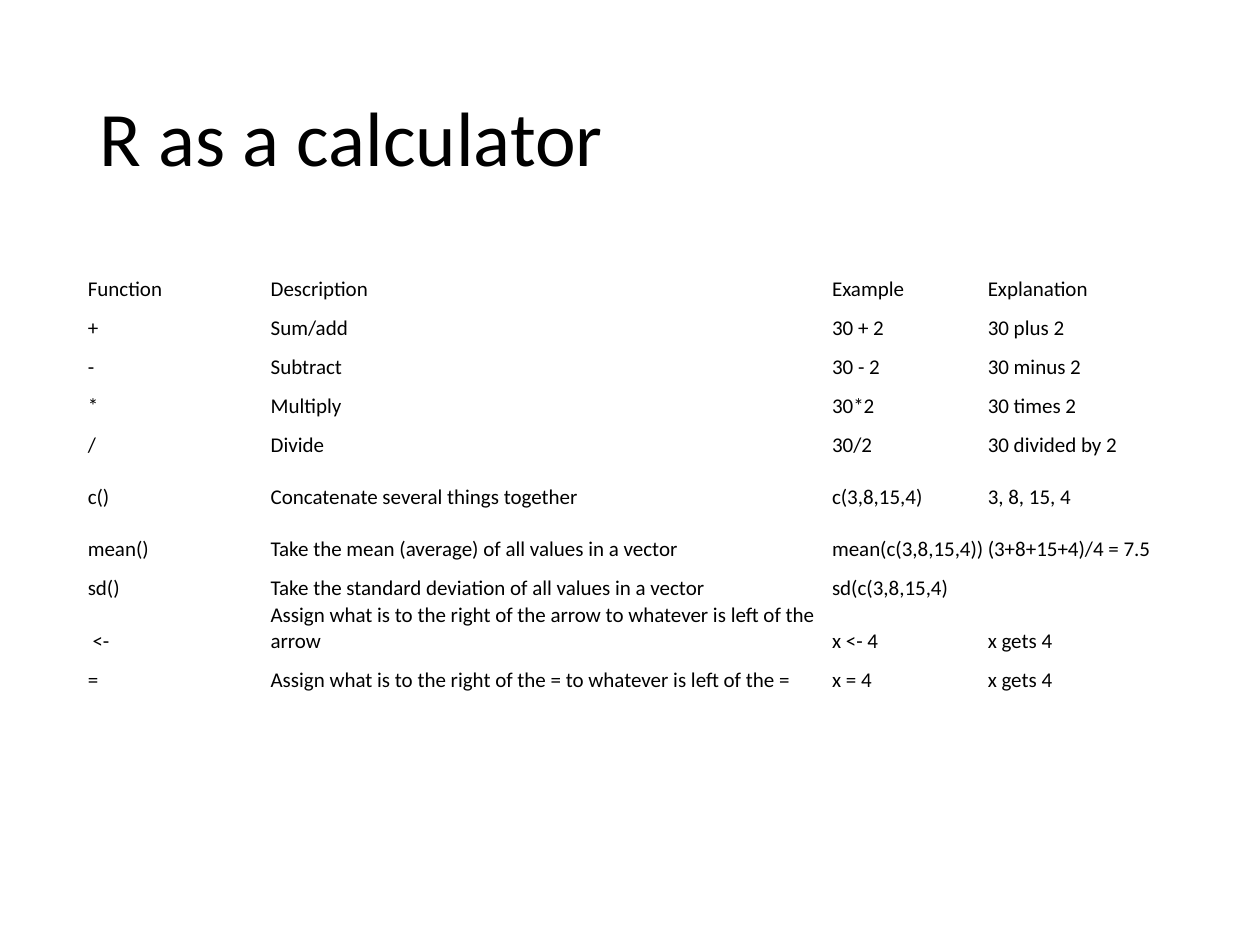
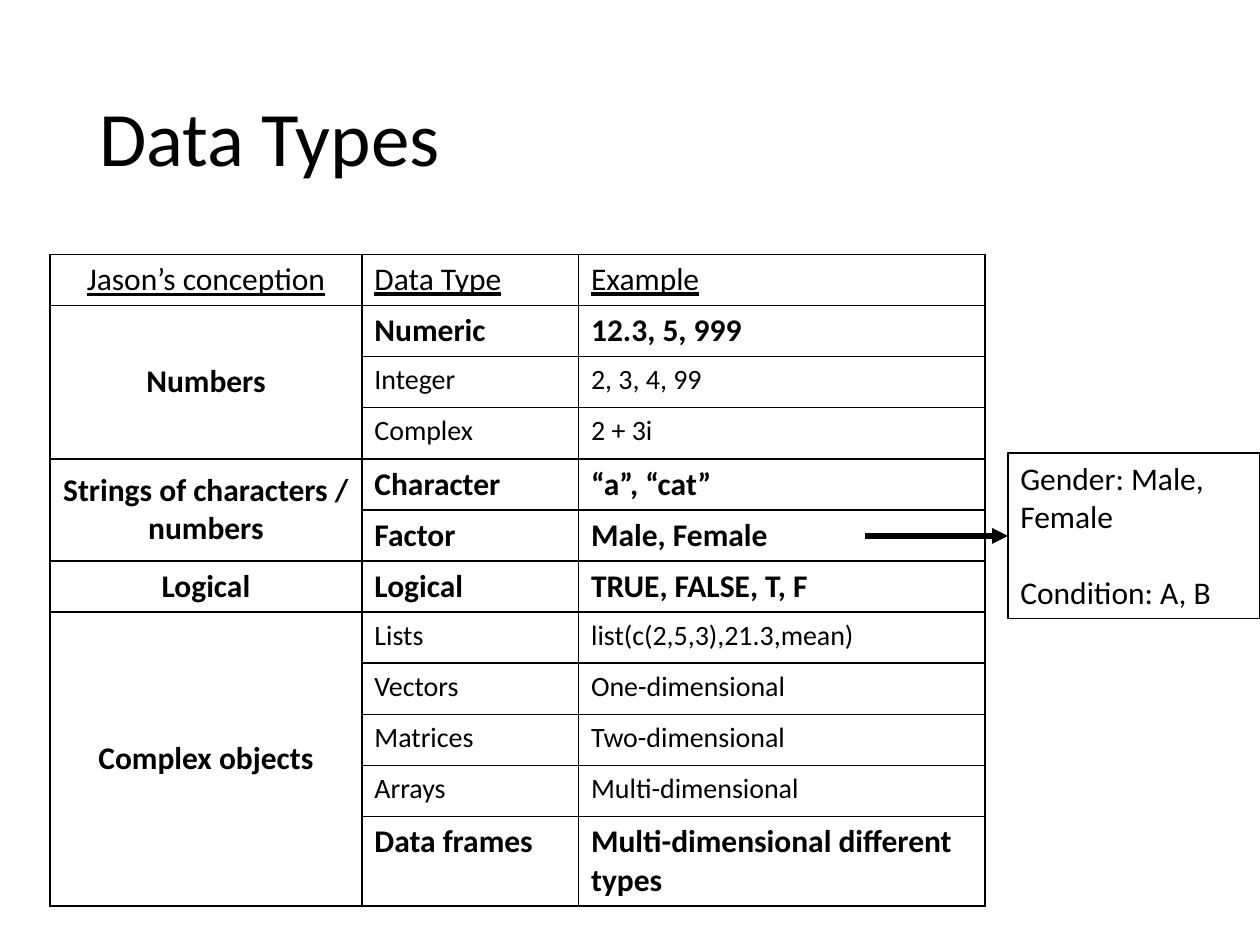
from lxml import etree
from pptx import Presentation
from pptx import util as u
from pptx.dml import color
from pptx.enum import shapes, text
from pptx.oxml import ns

FONT = "Calibri"
BLACK, WHITE = "000000", "FFFFFF"

# Rows of the calculator table
CALCULATOR_ROWS = [
    ("Function", "Description", "Example", "Explanation"),
    ("+", "Sum/add", "30 + 2", "30 plus 2"),
    ("-", "Subtract", "30 - 2", "30 minus 2"),
    ("*", "Multiply", "30*2", "30 times 2"),
    ("/", "Divide", "30/2", "30 divided by 2"),
    ("c()", "Concatenate several things together", "c(3,8,15,4)", "3, 8, 15, 4"),
    ("mean()", "Take the mean (average) of all values in a vector",
     "mean(c(3,8,15,4))", "(3+8+15+4)/4 = 7.5"),
    ("sd()", "Take the standard deviation of all values in a vector",
     "sd(c(3,8,15,4)", ""),
    (" <-", "Assign what is to the right of the arrow to whatever is left of the arrow",
     "x <- 4", "x gets 4"),
    ("=", "Assign what is to the right of the = to whatever is left of the =",
     "x = 4", "x gets 4"),
]
TALL_CALCULATOR_ROWS = ("c()", "mean()", " <-")

# Each concept with its data types: name, example, whether it is emphasised
DATA_TYPES = [
    ("Numbers", [("Numeric", "12.3, 5, 999", True),
                 ("Integer", "2, 3, 4, 99", False),
                 ("Complex", "2 + 3i", False)]),
    ("Strings of characters / numbers", [("Character", "“a”, “cat”", True),
                                         ("Factor", "Male, Female", True)]),
    ("Logical", [("Logical", "TRUE, FALSE, T, F", True)]),
    ("Complex objects", [("Lists", "list(c(2,5,3),21.3,mean)", False),
                         ("Vectors", "One-dimensional", False),
                         ("Matrices", "Two-dimensional", False),
                         ("Arrays", "Multi-dimensional", False),
                         ("Data frames", "Multi-dimensional different types", True)]),
]


def rgb(value):
    return color.RGBColor.from_string(value)


def add_run(paragraph, words, size, bold=False, underline=False):
    run = paragraph.add_run()
    run.text = words
    font = run.font
    font.name, font.size = FONT, u.Pt(size)
    font.bold, font.underline = bold, underline
    font.color.rgb = rgb(BLACK)


def add_titled_slide(presentation, title):
    slide = presentation.slides.add_slide(presentation.slide_layouts[5])
    shape = slide.shapes.title
    shape.left, shape.top = u.Pt(49.5), u.Pt(28.75)
    shape.width, shape.height = u.Pt(621), u.Pt(104.4)
    shape.text_frame.vertical_anchor = text.MSO_ANCHOR.MIDDLE
    paragraph = shape.text_frame.paragraphs[0]
    paragraph.alignment = text.PP_ALIGN.LEFT
    paragraph.line_spacing = 0.9
    add_run(paragraph, title, 44)
    return slide


def add_plain_table(slide, left, top, widths, heights):
    """Add a table without banding or cell fills."""
    table = slide.shapes.add_table(
        len(heights), len(widths), u.Pt(left), u.Pt(top),
        u.Pt(sum(widths)), u.Pt(sum(heights))).table
    table.first_row = table.horz_banding = False
    for column, width in zip(table.columns, widths):
        column.width = u.Pt(width)
    for row, height in zip(table.rows, heights):
        row.height = u.Pt(height)
    for cell in table.iter_cells():
        cell.fill.background()
    return table


def add_borders(cell, line_color, width):
    properties = cell._tc.get_or_add_tcPr()
    for index, side in enumerate(("a:lnL", "a:lnR", "a:lnT", "a:lnB")):
        line = etree.Element(ns.qn(side), w=str(u.Pt(width)))
        fill = etree.SubElement(line, ns.qn("a:solidFill"))
        etree.SubElement(fill, ns.qn("a:srgbClr"), val=line_color)
        properties.insert(index, line)


def fill_cell(cell, words, size, centred=False, **style):
    paragraph = cell.text_frame.paragraphs[0]
    if centred:
        paragraph.alignment = text.PP_ALIGN.CENTER
        cell.vertical_anchor = text.MSO_ANCHOR.MIDDLE
    add_run(paragraph, words, size, **style)


def add_note(slide, left, top, width, height, lines, gap):
    """Add an outlined box whose paragraphs stand a gap apart."""
    note = slide.shapes.add_shape(shapes.MSO_SHAPE.RECTANGLE, u.Pt(left), u.Pt(top),
                                  u.Pt(width), u.Pt(height))
    note.shadow.inherit = False
    note.fill.solid()
    note.fill.fore_color.rgb = rgb(WHITE)
    note.line.color.rgb = rgb(BLACK)
    note.line.width = u.Pt(1)
    frame = note.text_frame
    frame.word_wrap = True
    frame.auto_size = text.MSO_AUTO_SIZE.SHAPE_TO_FIT_TEXT
    frame.vertical_anchor = text.MSO_ANCHOR.TOP
    for index, line in enumerate(lines):
        paragraph = frame.add_paragraph() if index else frame.paragraphs[0]
        paragraph.alignment = text.PP_ALIGN.LEFT
        if index:
            paragraph.space_before = u.Pt(gap)
        add_run(paragraph, line, 18)
    return note


def add_arrow_to(slide, target, start_x):
    """Draw a level arrow to the middle of the target's left side."""
    middle = target.top + target.height // 2
    arrow = slide.shapes.add_connector(shapes.MSO_CONNECTOR.STRAIGHT,
                                       u.Pt(start_x), middle, target.left, middle)
    arrow.end_connect(target, 1)
    arrow.line.color.rgb = rgb(BLACK)
    arrow.line.width = u.Pt(3)
    etree.SubElement(arrow.line._get_or_add_ln(), ns.qn("a:tailEnd"), type="triangle")
    etree.SubElement(arrow._element.spPr, ns.qn("a:effectLst"))


def build_calculator(presentation):
    slide = add_titled_slide(presentation, "R as a calculator")
    heights = [29.7 if row[0] in TALL_CALCULATOR_ROWS else 22.3
               for row in CALCULATOR_ROWS]
    table = add_plain_table(slide, 49.5, 150.6, [104.5, 320.8, 89, 106.4], heights)
    for row, values in enumerate(CALCULATOR_ROWS):
        for column, words in enumerate(values):
            cell = table.cell(row, column)
            cell.margin_left = cell.margin_right = cell.margin_top = u.Pt(0.7)
            cell.margin_bottom = 0
            cell.vertical_anchor = text.MSO_ANCHOR.BOTTOM
            fill_cell(cell, words, 12)


def build_data_types(presentation):
    slide = add_titled_slide(presentation, "Data Types")
    table = add_plain_table(slide, 28.6, 145.4, [178.2, 123.8, 232.3],
                            [29.2] * 11 + [51.2])
    for cell in table.iter_cells():
        add_borders(cell, BLACK, 1)

    # Header
    for column, words in enumerate(("Jason’s conception", "Data Type", "Example")):
        fill_cell(table.cell(0, column), words, 18, centred=column == 0, underline=True)

    # One merged concept cell beside its data types
    row = 1
    for concept, types in DATA_TYPES:
        concept_cell = table.cell(row, 0)
        if len(types) > 1:
            concept_cell.merge(table.cell(row + len(types) - 1, 0))
        fill_cell(concept_cell, concept, 18, centred=True, bold=True)
        for name, example, emphasised in types:
            size = 18 if emphasised else 16
            fill_cell(table.cell(row, 1), name, size, bold=emphasised)
            fill_cell(table.cell(row, 2), example, size, bold=emphasised)
            row += 1

    # Factor examples
    note = add_note(slide, 576, 259, 144, 94.5,
                    ["Gender: Male, Female", "Condition: A, B"], 21.6)
    add_arrow_to(slide, note, 494.5)


def main():
    presentation = Presentation()
    presentation.slide_width, presentation.slide_height = u.Pt(720), u.Pt(540)
    build_calculator(presentation)
    build_data_types(presentation)
    presentation.save("out.pptx")


if __name__ == "__main__":
    main()
